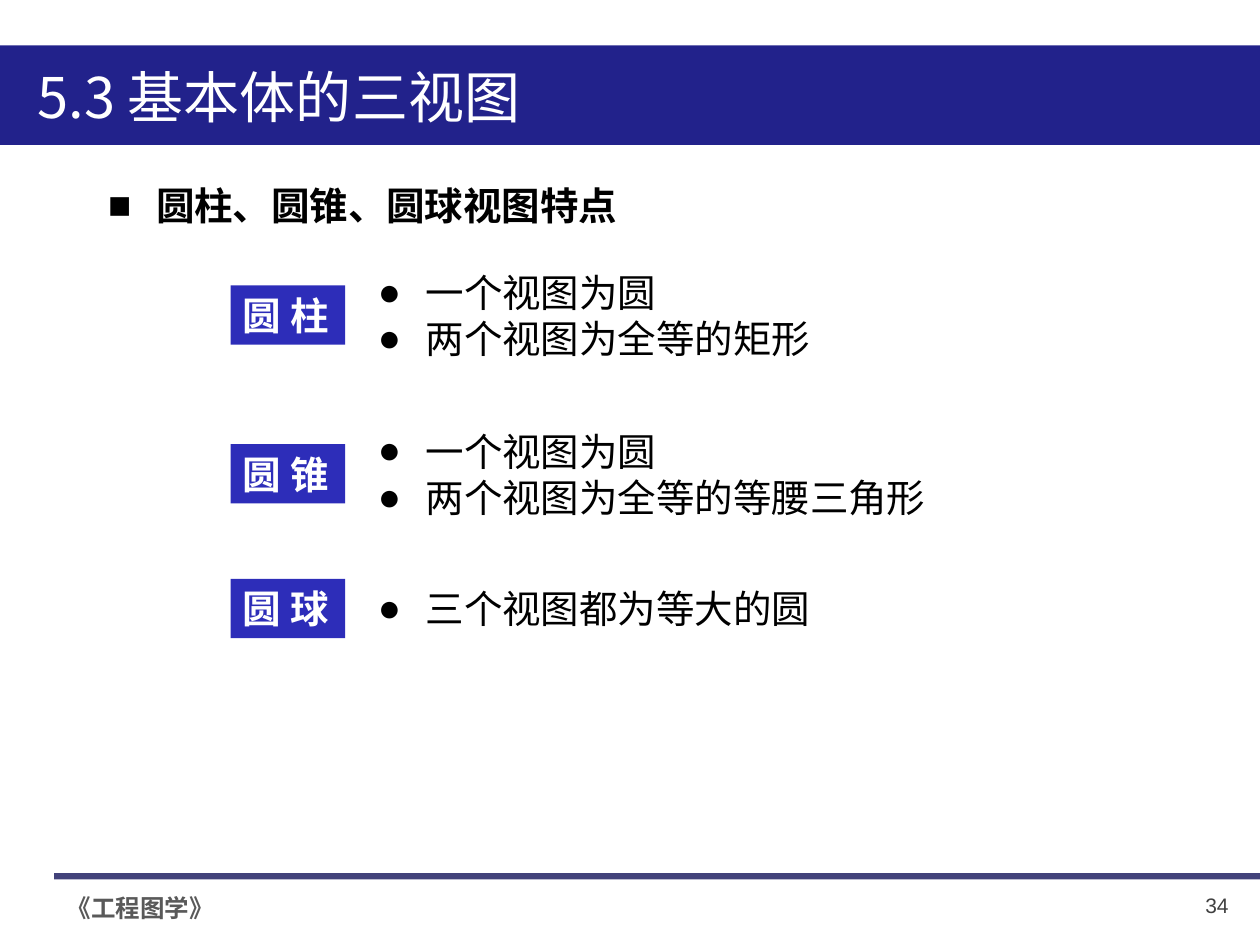
from dataclasses import dataclass
from typing import Optional

import pptx
import pptx.dml.color
import pptx.enum.shapes
import pptx.enum.text
import pptx.oxml
import pptx.oxml.ns
import pptx.util

RGBColor = pptx.dml.color.RGBColor
Align = pptx.enum.text.PP_ALIGN
Anchor = pptx.enum.text.MSO_ANCHOR

NAVY = RGBColor(0x22, 0x22, 0x8B)
RULE_BLUE = RGBColor(0x17, 0x17, 0x5C)
LABEL_BLUE = RGBColor(0x2D, 0x2D, 0xB9)
WHITE = RGBColor(0xFF, 0xFF, 0xFF)
BLACK = RGBColor(0x00, 0x00, 0x00)
FOOTER_GRAY = RGBColor(0x59, 0x59, 0x59)
NUMBER_GRAY = RGBColor(0x40, 0x40, 0x40)

CJK_FONT = "Noto Sans CJK SC"
LATIN_FONT = "Arial"
SLIDE_WIDTH = pptx.util.Inches(10)
SLIDE_HEIGHT = pptx.util.Inches(7.5)
COLUMNS = 100
ROWS = 75
HANGING = pptx.util.Inches(0.38)
LABEL_HEIGHT = 4.7
LINE_HEIGHT = 3.7
LIST_PADDING = 1


@dataclass(frozen=True)
class Area:
    column: float
    row: float
    columns: float
    rows: float

    def lengths(self) -> tuple[int, int, int, int]:
        return (
            int(SLIDE_WIDTH * self.column / COLUMNS),
            int(SLIDE_HEIGHT * self.row / ROWS),
            int(SLIDE_WIDTH * self.columns / COLUMNS),
            int(SLIDE_HEIGHT * self.rows / ROWS),
        )


@dataclass(frozen=True)
class TextStyle:
    size: int
    color: RGBColor
    name: str = CJK_FONT
    bold: bool = False
    align: Align = Align.LEFT
    anchor: Anchor = Anchor.MIDDLE
    bullet: Optional[str] = None


@dataclass(frozen=True)
class Solid:
    label: str
    center: float
    list_width: float
    features: tuple[str, ...]


TITLE = TextStyle(32, WHITE, anchor=Anchor.TOP)
HEADING = TextStyle(22, BLACK, bold=True, bullet="■")
LABEL = TextStyle(22, WHITE, bold=True)
FEATURE = TextStyle(22, BLACK, bullet="●")
FOOTER = TextStyle(14, FOOTER_GRAY, LATIN_FONT, bold=True, anchor=Anchor.TOP)
NUMBER = TextStyle(12, NUMBER_GRAY, LATIN_FONT, align=Align.RIGHT)

SOLIDS = (
    Solid("圆 柱", 25, 36.7, ("一个视图为圆", "两个视图为全等的矩形")),
    Solid("圆 锥", 37.6, 45.9, ("一个视图为圆", "两个视图为全等的等腰三角形")),
    Solid("圆 球", 48.3, 36.7, ("三个视图都为等大的圆",)),
)


def add_element(parent, tag: str, **attributes: str) -> None:
    element = pptx.oxml.parse_xml(f"<a:{tag} {pptx.oxml.ns.nsdecls('a')}/>")
    for key, value in attributes.items():
        element.set(key, value)
    parent.append(element)


def write_text(shape, lines: tuple[str, ...], style: TextStyle) -> None:
    frame = shape.text_frame
    frame_format = {
        "word_wrap": False,
        "auto_size": pptx.enum.text.MSO_AUTO_SIZE.NONE,
        "vertical_anchor": style.anchor,
    }
    for key, value in frame_format.items():
        setattr(frame, key, value)
    for index, line in enumerate(lines):
        para = frame.paragraphs[0] if index == 0 else frame.add_paragraph()
        para.alignment = style.align
        if style.bullet:
            properties = para._p.get_or_add_pPr()
            properties.set("marL", str(HANGING))
            properties.set("indent", str(-HANGING))
            add_element(properties, "buFont", typeface=LATIN_FONT)
            add_element(properties, "buChar", char=style.bullet)
        span = para.add_run()
        span.text = line
        font_format = {
            "size": pptx.util.Pt(style.size),
            "name": style.name,
            "bold": style.bold,
        }
        for key, value in font_format.items():
            setattr(span.font, key, value)
        span.font.color.rgb = style.color
        add_element(span._r.get_or_add_rPr(), "ea", typeface=CJK_FONT)


def add_text(page, area: Area, lines: tuple[str, ...], style: TextStyle) -> None:
    write_text(page.shapes.add_textbox(*area.lengths()), lines, style)


def add_block(page, area: Area, color: RGBColor):
    kind = pptx.enum.shapes.MSO_SHAPE.RECTANGLE
    block = page.shapes.add_shape(kind, *area.lengths())
    block.shadow.inherit = False
    block.fill.solid()
    block.fill.fore_color.rgb = color
    block.line.fill.background()
    return block


def add_solid(page, solid: Solid) -> None:
    label_top = solid.center - LABEL_HEIGHT / 2
    label = add_block(page, Area(18.3, label_top, 9.1, LABEL_HEIGHT), LABEL_BLUE)
    write_text(label, (solid.label,), LABEL)
    height = LIST_PADDING + LINE_HEIGHT * len(solid.features)
    area = Area(29, solid.center - height / 2, solid.list_width, height)
    add_text(page, area, solid.features, FEATURE)


def main() -> None:
    deck = pptx.Presentation()
    deck.slide_width = SLIDE_WIDTH
    deck.slide_height = SLIDE_HEIGHT
    page = deck.slides.add_slide(deck.slide_layouts[6])

    add_block(page, Area(0, 3.6, COLUMNS, 7.9), NAVY)
    rule = add_block(page, Area(4.3, 69.3, 95.7, 0.5), RULE_BLUE)
    rule_color = rule._element.spPr.find(".//" + pptx.oxml.ns.qn("a:srgbClr"))
    add_element(rule_color, "alpha", val="81000")

    add_text(page, Area(4.3, 70.4, 13.8, 3.4), ("《工程图学》",), FOOTER)
    add_text(page, Area(93.5, 70.3, 5, 3), ("34",), NUMBER)
    add_text(page, Area(2, 4.5, 44, 6.4), ("5.3 基本体的三视图",), TITLE)
    add_text(page, Area(7.6, 13.9, 42.8, 4.7), ("圆柱、圆锥、圆球视图特点",), HEADING)
    for solid in SOLIDS:
        add_solid(page, solid)

    deck.save("out.pptx")


if __name__ == "__main__":
    main()
